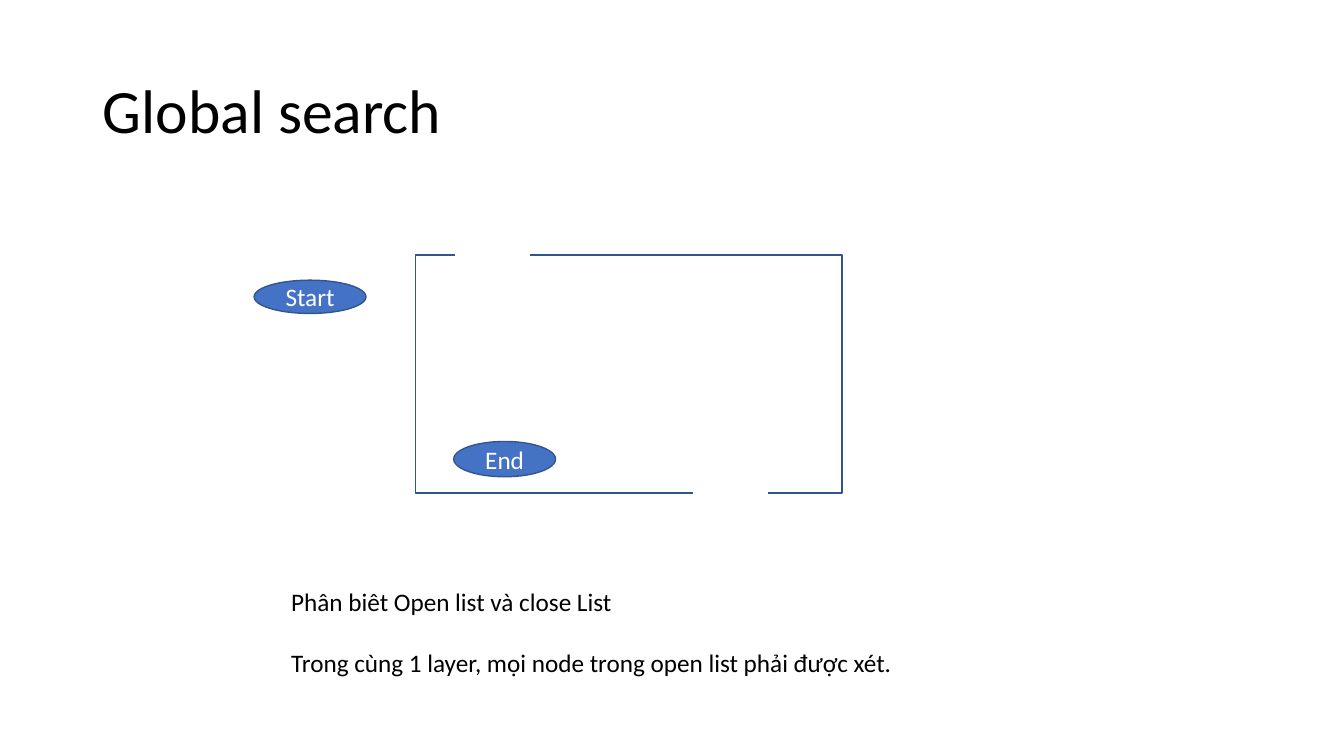
from dataclasses import dataclass

from pptx import Presentation
from pptx.dml.color import RGBColor
from pptx.enum.shapes import MSO_SHAPE
from pptx.enum.text import MSO_ANCHOR, MSO_AUTO_SIZE, PP_ALIGN
from pptx.util import Pt

RECTANGLE, OVAL = MSO_SHAPE.RECTANGLE, MSO_SHAPE.OVAL
LEFT, CENTER = PP_ALIGN.LEFT, PP_ALIGN.CENTER
MIDDLE, TOP = MSO_ANCHOR.MIDDLE, MSO_ANCHOR.TOP
NO_FIT, GROW = MSO_AUTO_SIZE.NONE, MSO_AUTO_SIZE.SHAPE_TO_FIT_TEXT
EMU_PER_PX = 9144
TITLE_ONLY = 5


@dataclass(frozen=True)
class Theme:
    font: str = "Calibri"
    ink: str = "000000"
    paper: str = "FFFFFF"
    node: str = "4472C4"
    outline: str = "325491"
    title_size: int = 44
    text_size: int = 18
    line_width: int = 1


THEME = Theme()


def px(*lengths):
    return [length * EMU_PER_PX for length in lengths]


def apply(target, values):
    for name, value in values.items():
        setattr(target, name, value)


def write(frame, lines, size, color, frame_format, para_format):
    apply(frame, frame_format)
    for index, line in enumerate(lines):
        para = frame.add_paragraph() if index else frame.paragraphs[0]
        apply(para, para_format)
        if index:
            para.space_before = Pt(22)
        span = para.add_run()
        span.text = line
        apply(span.font, {"name": THEME.font, "size": Pt(size)})
        span.font.color.rgb = RGBColor.from_string(color)


def add_title(page, text, bounds):
    title = page.shapes.title
    apply(title, dict(zip(("left", "top", "width", "height"), px(*bounds))))
    write(title.text_frame, [text], THEME.title_size, THEME.ink,
          {"vertical_anchor": MIDDLE, "auto_size": NO_FIT, "word_wrap": True},
          {"alignment": LEFT, "line_spacing": 0.9})


def add_figure(page, kind, bounds, fill, line):
    figure = page.shapes.add_shape(kind, *px(*bounds))
    figure.shadow.inherit = False
    if fill:
        figure.fill.solid()
        figure.fill.fore_color.rgb = RGBColor.from_string(fill)
    else:
        figure.fill.background()
    figure.line.color.rgb = RGBColor.from_string(line)
    figure.line.width = Pt(THEME.line_width)
    return figure


def add_node(page, label, bounds):
    node = add_figure(page, OVAL, bounds, THEME.node, THEME.outline)
    write(node.text_frame, [label], THEME.text_size, THEME.paper,
          {"vertical_anchor": MIDDLE, "word_wrap": True},
          {"alignment": CENTER})


def add_notes_box(page, lines, bounds):
    box = page.shapes.add_textbox(*px(*bounds))
    write(box.text_frame, lines, THEME.text_size, THEME.ink,
          {"vertical_anchor": TOP, "word_wrap": False, "auto_size": GROW},
          {"alignment": LEFT})


def main():
    deck = Presentation()
    deck.slide_width, deck.slide_height = px(1333, 750)
    page = deck.slides.add_slide(deck.slide_layouts[TITLE_ONLY])

    add_title(page, "Global search", (92, 40, 1150, 145))
    add_figure(page, RECTANGLE, (412, 253, 423, 236), None, THEME.outline)
    for left, top in ((452, 229), (688, 466)):
        add_figure(page, RECTANGLE, (left, top, 73, 48), THEME.paper, THEME.paper)
    add_node(page, "Start", (252, 278, 111, 33))
    add_node(page, "End", (450, 438, 101, 35))
    add_notes_box(page, [
        "Phân biêt Open list và close List",
        "Trong cùng 1 layer, mọi node trong open list phải được xét.",
    ], (279, 577, 623, 101))

    deck.save("out.pptx")


if __name__ == "__main__":
    main()
